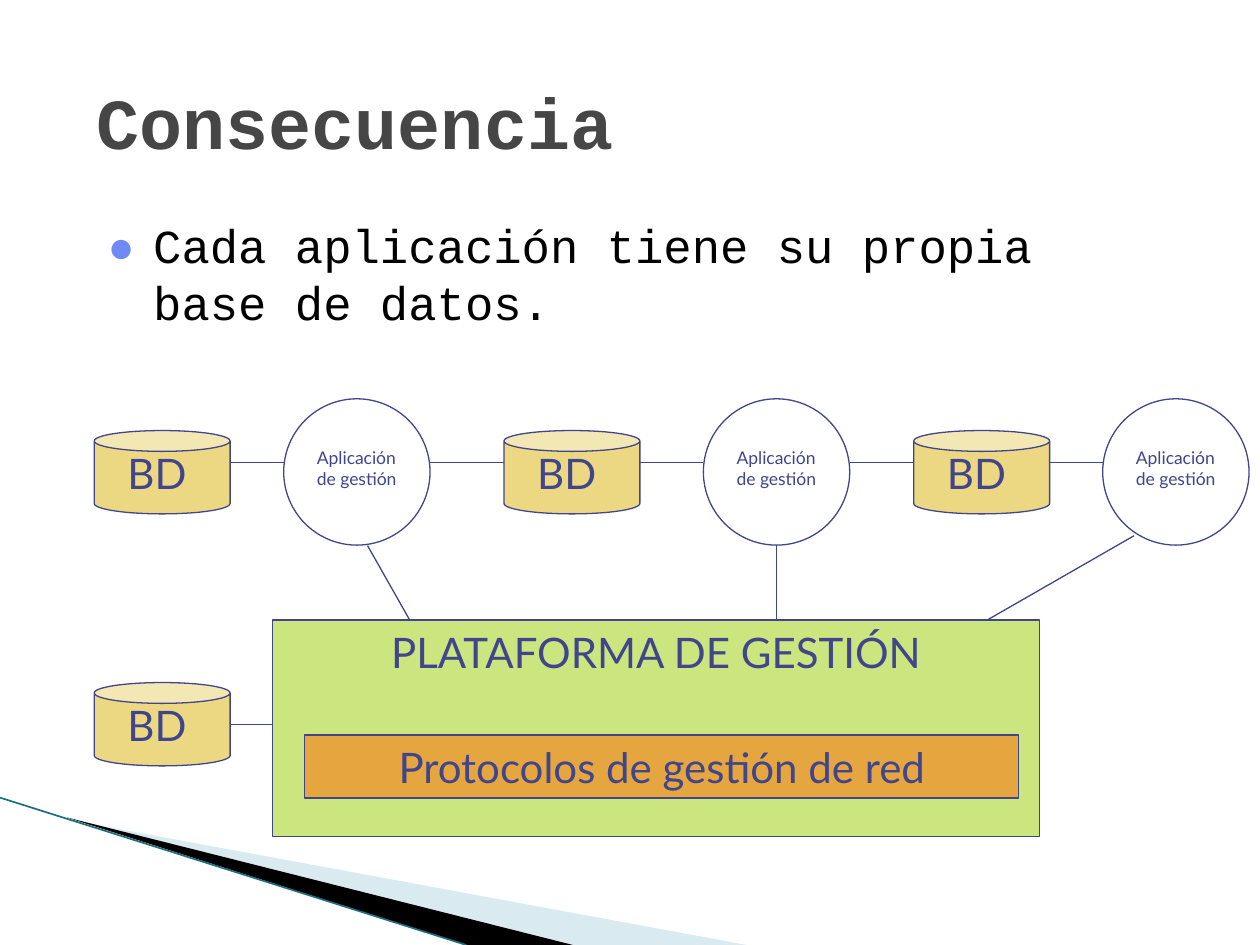
from dataclasses import dataclass

from lxml import etree
from pptx import Presentation
from pptx import util as u
from pptx.dml.color import RGBColor
from pptx.enum import shapes, text
from pptx.oxml import ns

INK = "40458C"
SAND = "ECD882"
BODY_FONT = "Lato"
HEAD_FONT = "Courier New"
SHAPE = shapes.MSO_SHAPE
LINK_Y = 9.32
PANEL_TOP = 12.5


@dataclass
class Node:
    """Outline with a label box placed relative to its corner."""
    kind: SHAPE
    label: str
    size: float
    width: float
    height: float
    fill: str | None
    label_at: tuple[float, float, float, float]


@dataclass
class Panel:
    label: str
    at: tuple[float, float, float, float]
    fill: str


DATABASE = Node(SHAPE.CAN, "BD", 24, 2.74, 1.68, SAND, (0.42, 0.21, 1.9, 1.27))
APPLICATION = Node(SHAPE.OVAL, "Aplicación de gestión", 10, 2.95, 2.95, None,
                   (0.42, 0.84, 2.31, 1.52))


def colour(value: str) -> RGBColor:
    return RGBColor.from_string(value)


def lengths(*values: float) -> list[u.Length]:
    return [u.Cm(value) for value in values]


def paint(shape, fill: str | None, line: str | None = None, alpha: int = 100) -> None:
    shape.shadow.inherit = False
    if fill:
        shape.fill.solid()
        shape.fill.fore_color.rgb = colour(fill)
        if alpha < 100:
            tint = shape.fill._xPr.find(".//" + ns.qn("a:srgbClr"))
            etree.SubElement(tint, ns.qn("a:alpha"), val=str(alpha * 1000))
    else:
        shape.fill.background()
    if line:
        shape.line.color.rgb = colour(line)
        shape.line.width = u.Pt(0.75)
    else:
        shape.line.fill.background()


def write(box, words: str, size: float, font: str = BODY_FONT, ink: str = INK,
          bold: bool = False, align=text.PP_ALIGN.LEFT,
          anchor=text.MSO_ANCHOR.TOP):
    frame = box.text_frame
    frame.word_wrap = True
    frame.vertical_anchor = anchor
    para = frame.paragraphs[0]
    para.alignment = align
    span = para.add_run()
    span.text = words
    span.font.size = u.Pt(size)
    span.font.name = font
    span.font.bold = bold
    span.font.color.rgb = colour(ink)
    return para


def add_bullet(para, tint: str) -> None:
    props = para._p.get_or_add_pPr()
    props.set("marL", str(u.Cm(0.94)))
    props.set("indent", str(-u.Cm(0.94)))
    bullet_colour = etree.SubElement(props, ns.qn("a:buClr"))
    etree.SubElement(bullet_colour, ns.qn("a:srgbClr"), val=tint)
    etree.SubElement(props, ns.qn("a:buSzPct"), val="110000")
    etree.SubElement(props, ns.qn("a:buFont"), typeface=BODY_FONT)
    etree.SubElement(props, ns.qn("a:buChar"), char="•")


def add_line(page, start: tuple[float, float], end: tuple[float, float],
             ink: str = INK, width: float = 0.75) -> None:
    line = page.shapes.add_connector(shapes.MSO_CONNECTOR.STRAIGHT,
                                     *lengths(*start, *end))
    line.line.color.rgb = colour(ink)
    line.line.width = u.Pt(width)
    etree.SubElement(line._element.spPr, ns.qn("a:effectLst"))


def add_wedge(page, points: list[tuple[float, float]], fill: str, alpha: int) -> None:
    first, *rest = [tuple(lengths(*point)) for point in points]
    builder = page.shapes.build_freeform(*first)
    builder.add_line_segments(rest, close=True)
    paint(builder.convert_to_shape(), fill, alpha=alpha)


def add_node(page, node: Node, left: float, top: float) -> None:
    group = page.shapes.add_group_shape()
    outline = group.shapes.add_shape(
        node.kind, *lengths(left, top, node.width, node.height))
    if node.kind == SHAPE.CAN:
        outline.adjustments[0] = 0.25
    paint(outline, node.fill, INK)
    dx, dy, width, height = node.label_at
    box = group.shapes.add_textbox(*lengths(left + dx, top + dy, width, height))
    write(box, node.label, node.size)


def add_panel(page, panel: Panel) -> None:
    box = page.shapes.add_shape(SHAPE.RECTANGLE, *lengths(*panel.at))
    paint(box, panel.fill, INK, alpha=50)
    write(box, panel.label, 24, align=text.PP_ALIGN.CENTER)


def main() -> None:
    deck = Presentation()
    deck.slide_width, deck.slide_height = lengths(25.4, 19.05)
    page = deck.slides.add_slide(deck.slide_layouts[6])

    # Corner decoration
    add_wedge(page, [(1.4, 16.53), (15.05, 19.05), (11.58, 19.05)], "A0CBDC", 40)
    add_wedge(page, [(1.35, 16.48), (11.55, 19.05), (9.4, 19.05)], "000000", 100)
    add_line(page, (0, 16.08), (9.4, 19.05), "1B6F80", 0.95)

    # Heading and statement
    body = page.shapes.add_textbox(*lengths(1.9, 4.24, 21.59, 3.18))
    statement = write(body, "Cada aplicación tiene su propia base de datos.", 27,
                      HEAD_FONT, "000000")
    add_bullet(statement, "6F89F7")
    title = page.shapes.add_textbox(*lengths(1.7, 0.84, 21.59, 3.18))
    write(title, "Consecuencia", 41, HEAD_FONT, "464646", bold=True,
          anchor=text.MSO_ANCHOR.MIDDLE)

    # Row of databases and applications, each linked to the next
    row = []
    for index, circle_left in enumerate((5.72, 14.18, 22.23)):
        row += [(DATABASE, 1.9 + 8.26 * index, 8.68),
                (APPLICATION, circle_left, 8.04)]
    for node, left, top in row:
        add_node(page, node, left, top)
    for (node, left, _), (_, next_left, _) in zip(row, row[1:]):
        add_line(page, (left + node.width, LINK_Y), (next_left, LINK_Y))

    # Platform with its own database
    for panel in (
        Panel("PLATAFORMA DE GESTIÓN", (5.5, PANEL_TOP, 15.45, 4.36), "99CC00"),
        Panel("Protocolos de gestión de red", (6.14, 14.82, 14.4, 1.27), "FF6600"),
    ):
        add_panel(page, panel)
    add_node(page, DATABASE, 1.9, 13.76)
    add_line(page, (5.5, 14.6), (1.9 + DATABASE.width, 14.6))

    # Applications to platform
    for start, end_x in (((7.41, 11), 8.26), ((15.66, 11), 15.66),
                         ((22.86, 10.8), 19.9)):
        add_line(page, start, (end_x, PANEL_TOP))

    deck.save("out.pptx")


if __name__ == "__main__":
    main()
